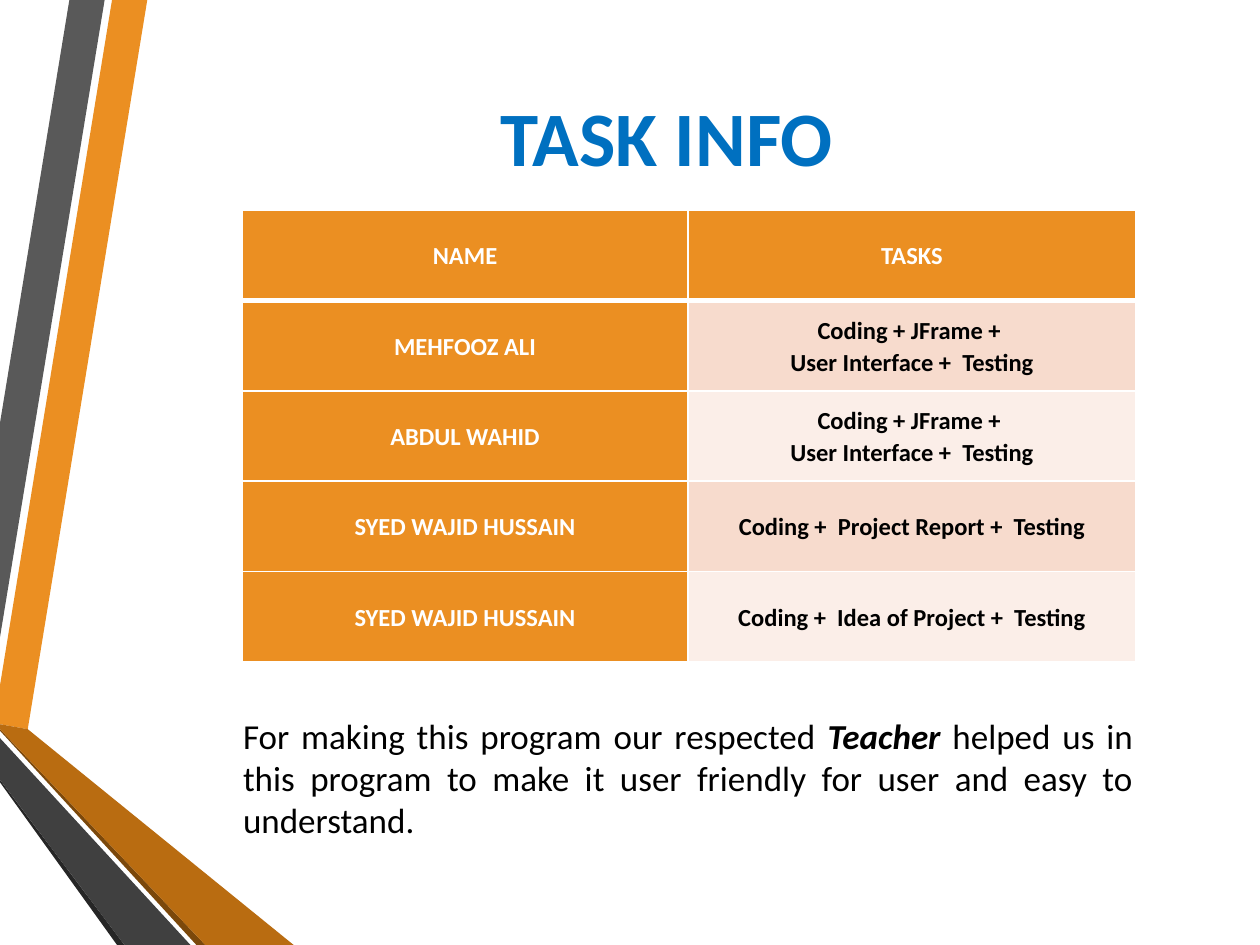
from lxml import etree
from pptx import Presentation, util as u
from pptx.dml.color import RGBColor
from pptx.enum import text
from pptx.oxml import parse_xml
from pptx.oxml.ns import nsdecls


def color(value):
    return RGBColor.from_string(value)


def write(paragraph, wording, **looks):
    run = paragraph.add_run()
    run.text = wording
    run.font.color.rgb = color(looks.pop("tint"))
    for key, value in {"name": "Calibri", **looks}.items():
        setattr(run.font, key, value)


deck = Presentation()
deck.slide_width, deck.slide_height = u.Cm(25.4), u.Cm(19.05)
slide = deck.slides.add_slide(deck.slide_layouts[6])

ribbons = [
    ("EB8F22", [(0, 13.82), (0, 14.6), (0.56, 14.7), (2.97, 0), (2.26, 0)]),
    ("595959", [(2.11, 0), (1.4, 0), (0, 8.53), (0, 12.85)]),
    ("262626", [(0, 15.72), (0, 15.77), (2.36, 19.05), (2.51, 19.05)]),
    ("7B480B", [(0, 14.7), (0, 14.73), (3.96, 19.05), (4.14, 19.05)]),
    ("B96C11", [(0, 14.7), (4.14, 19.05), (5.92, 19.05), (0.56, 14.7), (0, 14.6)]),
    ("404040", [(0, 15.72), (2.51, 19.05), (3.84, 19.05), (0, 14.88)]),
]
for tint, corners in ribbons:
    start, *others = [(u.Cm(x), u.Cm(y)) for x, y in corners]
    outline = slide.shapes.build_freeform(*start)
    outline.add_line_segments(others)
    ribbon = outline.convert_to_shape()
    ribbon.fill.solid()
    ribbon.fill.fore_color.rgb = color(tint)
    ribbon.line.fill.background()
    ribbon.shadow.inherit = False

passages = [
    ((2.74, 1.47, 21.41, 2.54), {"alignment": text.PP_ALIGN.CENTER},
     [("TASK INFO", {"size": u.Pt(44), "bold": True, "tint": "0070C0"})]),
    ((4.65, 13.56, 18.44, 4.24), {"alignment": text.PP_ALIGN.JUSTIFY, "space_after": u.Pt(6)},
     [("For making this program our respected ", {"size": u.Pt(20), "tint": "000000"}),
      ("Teacher ", {"size": u.Pt(20), "tint": "000000", "bold": True, "italic": True}),
      ("helped us in this program to make it user friendly for user and easy to understand.",
       {"size": u.Pt(20), "tint": "000000"})]),
]
for place, layout, pieces in passages:
    frame = slide.shapes.add_textbox(*map(u.Cm, place)).text_frame
    frame.word_wrap = True
    frame.vertical_anchor = text.MSO_ANCHOR.MIDDLE
    paragraph = frame.paragraphs[0]
    for key, value in layout.items():
        setattr(paragraph, key, value)
    for wording, looks in pieces:
        write(paragraph, wording, **looks)

assignments = [
    ("NAME", "TASKS"),
    ("MEHFOOZ ALI", "Coding + JFrame + \nUser Interface +  Testing"),
    ("ABDUL WAHID", "Coding + JFrame + \nUser Interface +  Testing"),
    ("SYED WAJID HUSSAIN", "Coding +  Project Report +  Testing"),
    ("SYED WAJID HUSSAIN", "Coding +  Idea of Project +  Testing"),
]
cell_format = {
    "vertical_anchor": text.MSO_ANCHOR.MIDDLE,
    "margin_left": u.Cm(0.18),
    "margin_right": u.Cm(0.18),
    "margin_top": 0,
    "margin_bottom": 0,
}
row_height = 1.82
tasks = slide.shapes.add_table(
    len(assignments), 2, u.Cm(4.88), u.Cm(4.24), u.Cm(18.02), u.Cm(row_height * len(assignments))
).table
tasks.columns[0].width, tasks.columns[1].width = u.Cm(8.99), u.Cm(9.03)

for r, assignment in enumerate(assignments):
    for c, wording in enumerate(assignment):
        cell = tasks.cell(r, c)
        for key, value in cell_format.items():
            setattr(cell, key, value)
        for side in "LRTB":
            thick = (r, side) in [(0, "B"), (1, "T")]
            cell._tc.get_or_add_tcPr().append(parse_xml(
                f'<a:ln{side} {nsdecls("a")} w="{u.Pt(3 if thick else 1)}">'
                '<a:solidFill><a:srgbClr val="FFFFFF"/></a:solidFill>'
                f'</a:ln{side}>'))
        accented = r == 0 or c == 0
        cell.fill.solid()
        cell.fill.fore_color.rgb = color("EB8F22" if accented else ("FBEEE8", "F7DBCD")[r % 2])
        for i, line in enumerate(wording.split("\n")):
            paragraph = cell.text_frame.add_paragraph() if i else cell.text_frame.paragraphs[0]
            paragraph.alignment = text.PP_ALIGN.CENTER
            paragraph.line_spacing = 1.07
            write(paragraph, line, size=u.Pt(14), bold=True, tint="FFFFFF" if accented else "000000")

deck.save("out.pptx")
